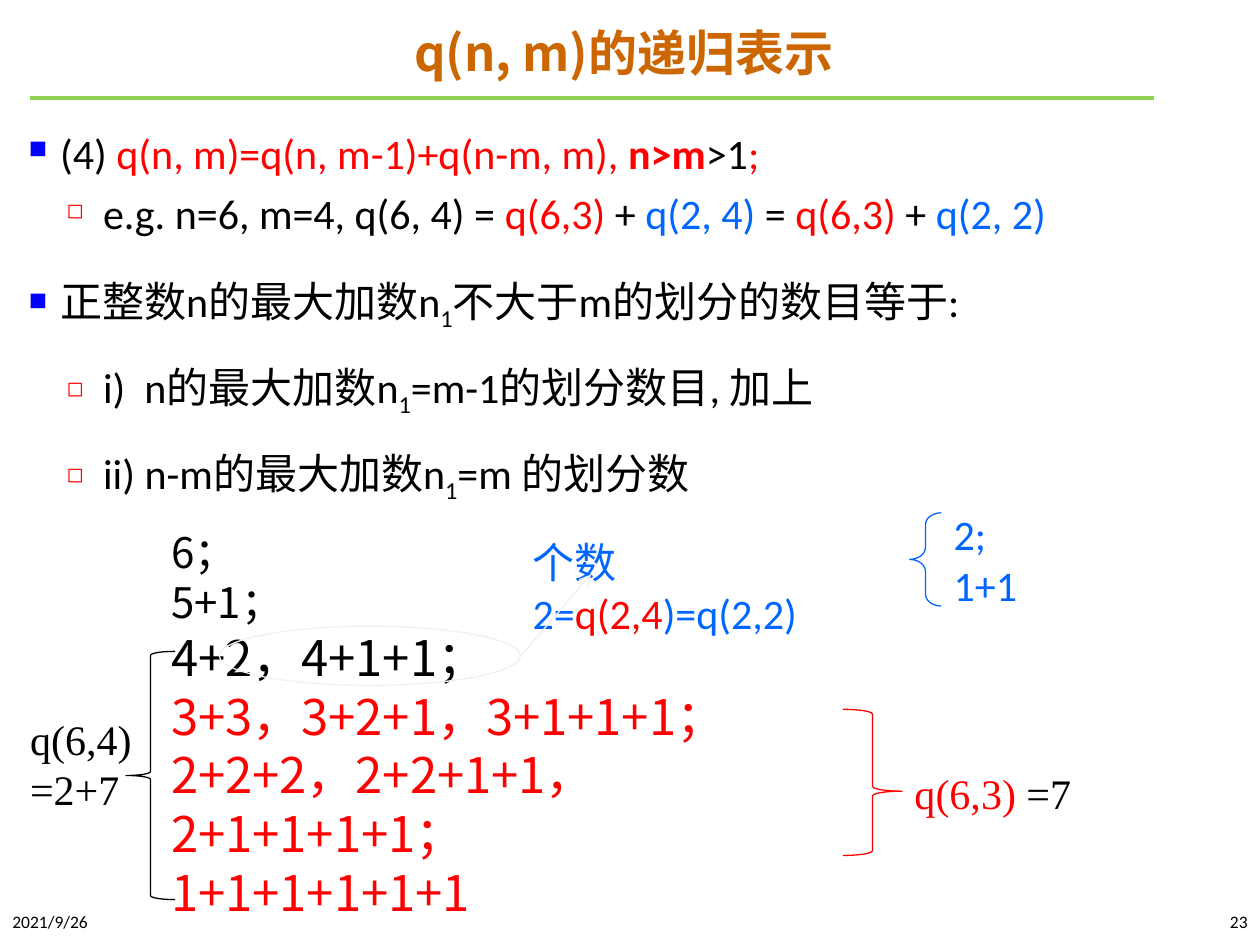
"""Build the slide on the recursive form of q(n, m)."""
import lxml.etree
import pptx
import pptx.dml.color
import pptx.enum.shapes
import pptx.enum.text
import pptx.oxml.ns
import pptx.util

Inches = pptx.util.Inches
Pt = pptx.util.Pt
Shape = pptx.enum.shapes.MSO_SHAPE
Align = pptx.enum.text.PP_ALIGN
Anchor = pptx.enum.text.MSO_ANCHOR
qn = pptx.oxml.ns.qn

HUES = {"black": "000000", "red": "FF0000", "blue": "0066FF", "title": "CC6600",
        "rule": "92D050", "pale": "F1F0F0", "mark": "0000FF"}
SANS, CJK, SERIF = "Calibri", "Noto Sans CJK SC", "Times New Roman"


def hue(name):
    return pptx.dml.color.RGBColor.from_string(HUES[name])


def add_node(parent, tag, **attrs):
    return lxml.etree.SubElement(parent, qn(tag), attrs)


def add_run(para, text, tint="black", size=24, face=SANS, bold=False, sub=False):
    run = para.add_run()
    run.text = text
    run.font.size = Pt(size)
    run.font.name = face
    run.font.bold = bold
    run.font.color.rgb = hue(tint)
    props = run.font._element
    add_node(props, "a:ea", typeface=CJK)
    if sub:
        props.set("baseline", "-25000")


def add_box(slide, place, wrap=True, anchor=Anchor.TOP):
    box = slide.shapes.add_textbox(*map(Inches, place))
    box.text_frame.word_wrap = wrap
    box.text_frame.vertical_anchor = anchor
    return box.text_frame


def add_para(frame):
    first = frame.paragraphs[0]
    return frame.add_paragraph() if first.runs else first


def add_label(slide, place, lines, face=SANS, size=24, wrap=False,
              align=Align.LEFT, anchor=Anchor.TOP):
    frame = add_box(slide, place, wrap, anchor)
    for line in lines:
        para = add_para(frame)
        para.alignment = align
        for text, tint in line:
            add_run(para, text, tint, size, face)


def add_point(frame, level, space, runs):
    para = add_para(frame)
    left, hang, mark, tint, scale = [(0.25, 0.25, "■", "mark", 60),
                                     (0.59, 0.29, "◻", "red", 50)][level]
    props = para._p.get_or_add_pPr()
    props.set("marL", str(Inches(left)))
    props.set("indent", str(-Inches(hang)))
    add_node(add_node(props, "a:buClr"), "a:srgbClr", val=HUES[tint])
    add_node(props, "a:buSzPct", val=str(scale * 1000))
    add_node(props, "a:buChar", char=mark)
    para.level = level
    para.line_spacing = space
    if level == 0 and para is not frame.paragraphs[0] and len(frame.paragraphs) > 1:
        para.space_before = Pt(5)
    for text, tint, *style in runs:
        add_run(para, text, tint, bold="bold" in style, sub="sub" in style)


def add_shape(slide, kind, place, tint, adjust=()):
    shape = slide.shapes.add_shape(kind, *map(Inches, place))
    shape.shadow.inherit = False
    shape.fill.background()
    shape.line.color.rgb = hue(tint)
    shape.line.width = Pt(0.75)
    for index, value in enumerate(adjust):
        shape.adjustments[index] = value


def add_line(slide, start, end, tint, width, arrow=False):
    line = slide.shapes.add_connector(pptx.enum.shapes.MSO_CONNECTOR.STRAIGHT,
                                      *map(Inches, start + end))
    line.line.color.rgb = hue(tint)
    line.line.width = Pt(width)
    if arrow:
        add_node(line.line._get_or_add_ln(), "a:tailEnd", type="arrow")
    add_node(line._element.spPr, "a:effectLst")


def add_title(slide):
    para = add_box(slide, (0.64, 0.1, 8.62, 0.68), anchor=Anchor.MIDDLE).paragraphs[0]
    para.alignment = Align.CENTER
    para.line_spacing = 0.9
    add_run(para, "q(n, m)的递归表示", "title", 28, CJK, bold=True)


def add_body(slide):
    frame = add_box(slide, (0.13, 0.88, 9.73, 2.99))
    add_point(frame, 0, 1.2, [
        ("(4) ", "black"), ("q(n, m)=q(n, m-1)+q(n-m, m), ", "red"),
        ("n>m", "red", "bold"), (">1", "black"), (";", "red")])
    add_point(frame, 1, 1.2, [
        ("e.g. n=6, m=4, q(6, 4) = ", "black"), ("q(6,3)", "red"), (" + ", "black"),
        ("q(2, 4) ", "blue"), ("= ", "black"), ("q(6,3)", "red"), (" + ", "black"),
        ("q(2, 2)", "blue")])
    for level, head, tail in [(0, "正整数n的最大加数n", "不大于m的划分的数目等于:"),
                              (1, "i)  n的最大加数n", "=m-1的划分数目, 加上"),
                              (1, "ii) n-m的最大加数n", "=m 的划分数")]:
        add_point(frame, level, 1.5, [(head, "black"), ("1", "black", "sub"),
                                      (tail, "black")])


def add_sums(slide):
    frame = add_box(slide, (0.9, 4.13, 6.06, 3.26))
    for text, tint, size in [("6；", "black", 24), ("5+1；", "black", 24),
                             ("4+2，4+1+1；", "black", 28),
                             ("3+3，3+2+1，3+1+1+1；", "red", 28),
                             ("2+2+2，2+2+1+1，", "red", 28),
                             ("2+1+1+1+1；", "red", 28), ("1+1+1+1+1+1", "red", 28)]:
        para = add_para(frame)
        props = para._p.get_or_add_pPr()
        props.set("marL", str(Inches(0.36)))
        props.set("indent", "0")
        para.line_spacing = Pt(size * 1.2)
        add_run(para, text, tint, size, CJK)


def main():
    deck = pptx.Presentation()
    deck.slide_width, deck.slide_height = Inches(10), Inches(7.5)
    slide = deck.slides.add_slide(deck.slide_layouts[6])
    add_line(slide, (0.24, 0.78), (9.16, 0.78), "rule", 2.25)
    add_title(slide)
    add_body(slide)
    add_label(slide, (0, 7.14, 2.25, 0.34), [[("2021/9/26", "black")]], size=10,
              wrap=True, anchor=Anchor.MIDDLE)
    add_label(slide, (7.75, 7.14, 2.25, 0.34), [[("23", "black")]], size=10,
              wrap=True, align=Align.RIGHT, anchor=Anchor.MIDDLE)
    add_sums(slide)
    add_shape(slide, Shape.OVAL, (1.74, 4.97, 2.39, 0.47), "pale")
    add_shape(slide, Shape.LEFT_BRACE, (1, 5.17, 0.39, 1.97), "black", (0.08, 0.5))
    add_label(slide, (0.14, 5.61, 1.02, 0.91),
              [[("q(6,4)", "black")], [("=2+7", "black")]], SERIF)
    add_shape(slide, Shape.RIGHT_BRACE, (6.69, 5.63, 0.47, 1.16), "red", (0.08, 0.56))
    add_label(slide, (7.16, 6.04, 1.46, 0.51),
              [[("q(6,3) ", "red"), ("=7", "black")]], SERIF)
    add_label(slide, (4.13, 4.21, 2.7, 0.5),
              [[("个数2=", "blue"), ("q(2,4", "red"), (")=q(2,2)", "blue")]], wrap=True)
    add_line(slide, (4.13, 5.21), (4.69, 4.56), "pale", 0.75, arrow=True)
    add_shape(slide, Shape.LEFT_BRACE, (7.22, 4.07, 0.25, 0.74), "blue", (0.38, 0.5))
    add_label(slide, (7.47, 3.99, 0.71, 0.91), [[("2;", "blue")], [("1+1", "blue")]])
    deck.save("out.pptx")


if __name__ == "__main__":
    main()
